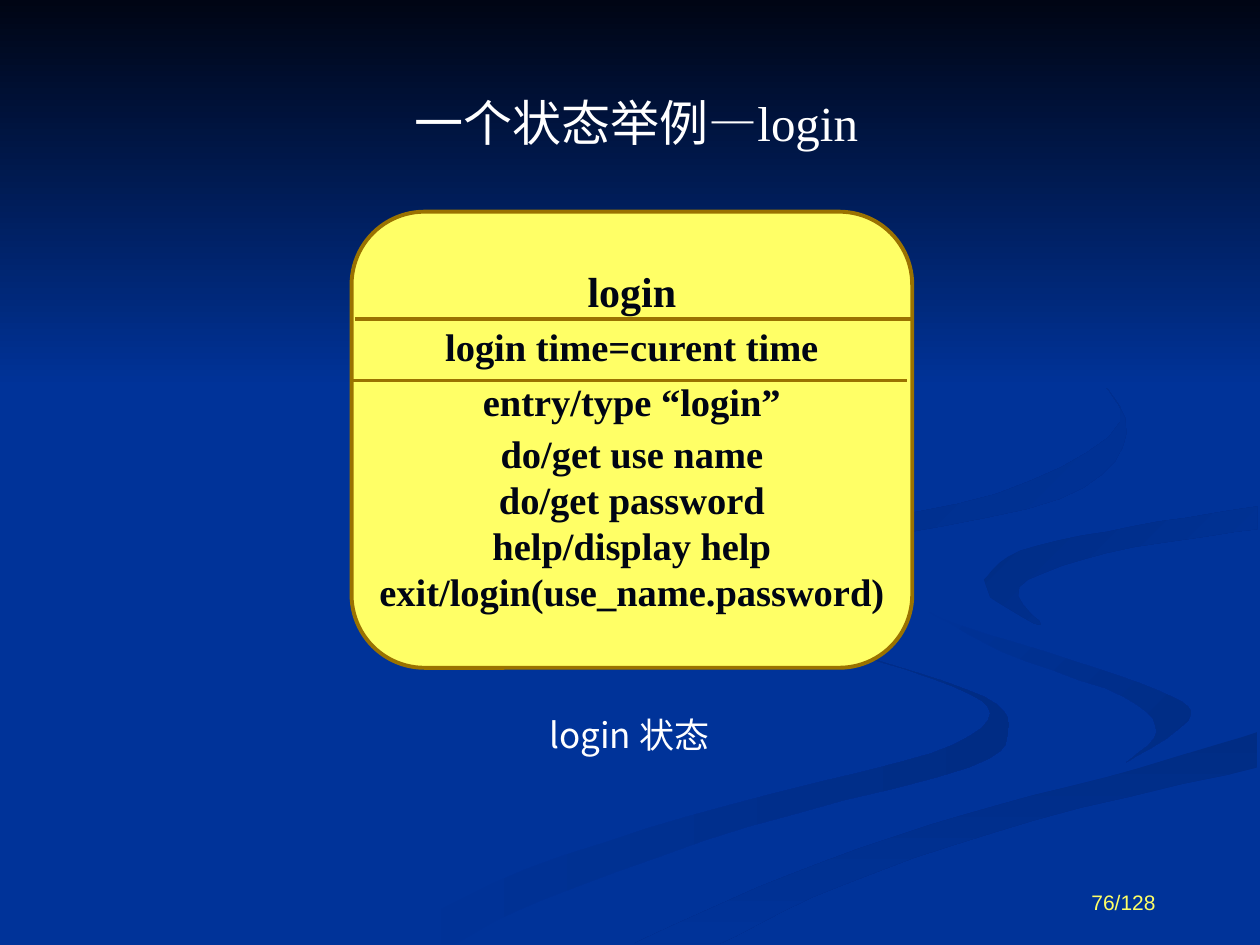
from lxml.etree import SubElement
from pptx import Presentation
from pptx.dml.color import RGBColor
from pptx.enum.shapes import MSO_CONNECTOR, MSO_SHAPE
from pptx.enum.text import MSO_ANCHOR, PP_ALIGN
from pptx.oxml.ns import qn
from pptx.util import Pt

PX = 9144  # 100 px to the inch
BLUE = RGBColor(0x00, 0x33, 0x99)
SHADE = RGBColor(0x00, 0x2C, 0x84)
NIGHT = RGBColor(0x00, 0x05, 0x14)
YELLOW = RGBColor(0xFF, 0xFF, 0x66)
BROWN = RGBColor(0x9A, 0x72, 0x00)
WHITE = RGBColor(0xFF, 0xFF, 0xFF)
SERIF, SANS, CHINESE = "Times New Roman", "Arial", "Noto Sans CJK SC"


def smooth(knots, steps=5):
    """Return points of a Catmull-Rom curve through the knots."""
    padded = [knots[0], *knots, knots[-1]]
    points = [knots[0]]
    for a, b, c, d in zip(padded, padded[1:], padded[2:], padded[3:]):
        for step in range(1, steps + 1):
            t = step / steps
            points.append(tuple(
                round(q + t * (r - p + t * (2 * p - 5 * q + 4 * r - s
                                            + t * (3 * (q - r) + s - p))) / 2)
                for p, q, r, s in zip(a, b, c, d)))
    return points


def paint_gradient(shape, start, end, angle):
    """Fill without outline; the angle runs clockwise."""
    shape.shadow.inherit = False
    shape.line.fill.background()
    shape.fill.gradient()
    shape.fill.gradient_angle = (360 - angle) % 360
    for stop, color in zip(shape.fill.gradient_stops, (start, end)):
        stop.color.rgb = color


presentation = Presentation()
presentation.slide_width, presentation.slide_height = 1000 * PX, 750 * PX
slide = presentation.slides.add_slide(presentation.slide_layouts[5])
slide.background.fill.solid()
slide.background.fill.fore_color.rgb = BLUE

# Background ribbons: start colour, end colour, angle, and the two edges
ribbons = [
    (BLUE, SHADE, 0,
     [(575, 459), (594, 485), (682, 519), (781, 553), (800, 581), (769, 609),
      (594, 656), (431, 714), (361, 749)],
     [(300, 749), (417, 690), (579, 639), (739, 598), (786, 566), (741, 539),
      (602, 495), (570, 472)]),
    (BLUE, SHADE, 45,
     [(724, 464), (745, 490), (850, 524), (930, 553), (943, 572), (894, 605)],
     [(894, 605), (918, 581), (892, 553), (797, 518), (733, 483)]),
    (SHADE, BLUE, 90,
     [(503, 749), (630, 693), (764, 647), (903, 610), (998, 581)],
     [(998, 609), (821, 651), (670, 702), (571, 749)]),
    (SHADE, BLUE, 45,
     [(781, 460), (810, 437), (898, 418), (998, 402)],
     [(998, 420), (878, 439), (809, 466), (826, 496), (786, 474)]),
    (SHADE, BLUE, 45,
     [(762, 233), (854, 283), (894, 344), (841, 396), (683, 430), (597, 457),
      (622, 500)],
     [(622, 500), (577, 462), (625, 426), (791, 392), (889, 335), (846, 279)]),
]
for start, end, angle, *edges in ribbons:
    outline = [point for edge in edges for point in smooth(edge)]
    builder = slide.shapes.build_freeform(*outline[0], scale=PX)
    builder.add_line_segments(outline[1:], close=True)
    paint_gradient(builder.convert_to_shape(), start, end, angle)

night_sky = slide.shapes.add_shape(MSO_SHAPE.RECTANGLE, 0, 0, 1000 * PX, 308 * PX)
paint_gradient(night_sky, NIGHT, BLUE, 90)

# Title, raised above the background
title = slide.shapes.title
title.left, title.top, title.width, title.height = 85 * PX, 54 * PX, 850 * PX, 85 * PX
slide.shapes._spTree.append(title._element)
title.text_frame.vertical_anchor = MSO_ANCHOR.MIDDLE
paragraph = title.text_frame.paragraphs[0]
paragraph.alignment = PP_ALIGN.CENTER
for text, font in (("一个状态举例", SERIF), ("—", SANS), ("login ", SERIF)):
    run = paragraph.add_run()
    run.text = text
    run.font.name = font
    run.font.size = Pt(28)
    run.font.color.rgb = WHITE

# State box: text, size, space before
state_lines = [
    ("login", 24, 0),
    ("login time=curent time", 22, 4.1),
    ("entry/type “login”", 22, 5.5),
    ("do/get use name", 22, 2.8),
    ("do/get password", 22, 0),
    ("help/display help", 22, 0),
    ("exit/login(use_name.password)", 22, 0),
]
state = slide.shapes.add_shape(
    MSO_SHAPE.ROUNDED_RECTANGLE, 279 * PX, 168 * PX, 445 * PX, 362 * PX)
state.adjustments[0] = 0.16
state.shadow.inherit = False
state.fill.solid()
state.fill.fore_color.rgb = YELLOW
state.line.color.rgb = BROWN
state.line.width = Pt(2.25)
frame = state.text_frame
frame.word_wrap = False
frame.vertical_anchor = MSO_ANCHOR.MIDDLE
for index, (text, size, space_before) in enumerate(state_lines):
    paragraph = frame.add_paragraph() if index else frame.paragraphs[0]
    paragraph.text = text
    paragraph.alignment = PP_ALIGN.CENTER
    if space_before:
        paragraph.space_before = Pt(space_before)
    for name, value in {"name": SERIF, "size": Pt(size), "bold": True}.items():
        setattr(paragraph.font, name, value)
    paragraph.font.color.rgb = NIGHT

for left, y in ((282, 253), (279, 302)):
    divider = slide.shapes.add_connector(
        MSO_CONNECTOR.STRAIGHT, left * PX, y * PX, (left + 441) * PX, y * PX)
    divider.line.color.rgb = BROWN
    divider.line.width = Pt(2.25)
    SubElement(divider._element.spPr, qn("a:effectLst"))

# Caption and page number
labels = [
    ("login 状态", (355, 565, 289, 40), PP_ALIGN.CENTER, MSO_ANCHOR.TOP, 0.9,
     CHINESE, 20, WHITE),
    ("76/128", (694, 679, 233, 52), PP_ALIGN.RIGHT, MSO_ANCHOR.BOTTOM, 1.0,
     SANS, 12, YELLOW),
]
for text, place, alignment, anchor, spacing, font, size, color in labels:
    frame = slide.shapes.add_textbox(*(length * PX for length in place)).text_frame
    frame.word_wrap = True
    frame.vertical_anchor = anchor
    paragraph = frame.paragraphs[0]
    paragraph.text = text
    paragraph.alignment = alignment
    paragraph.line_spacing = spacing
    paragraph.font.name = font
    paragraph.font.size = Pt(size)
    paragraph.font.color.rgb = color

presentation.save("out.pptx")
